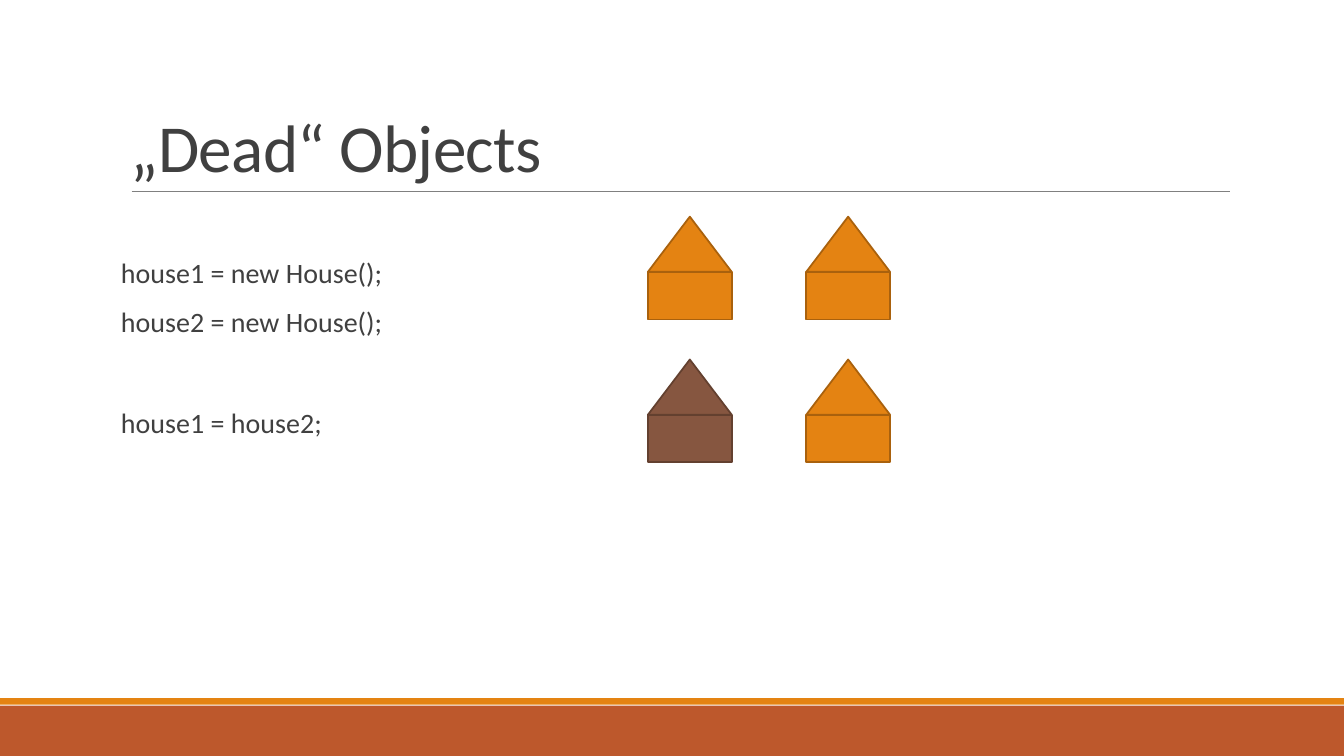
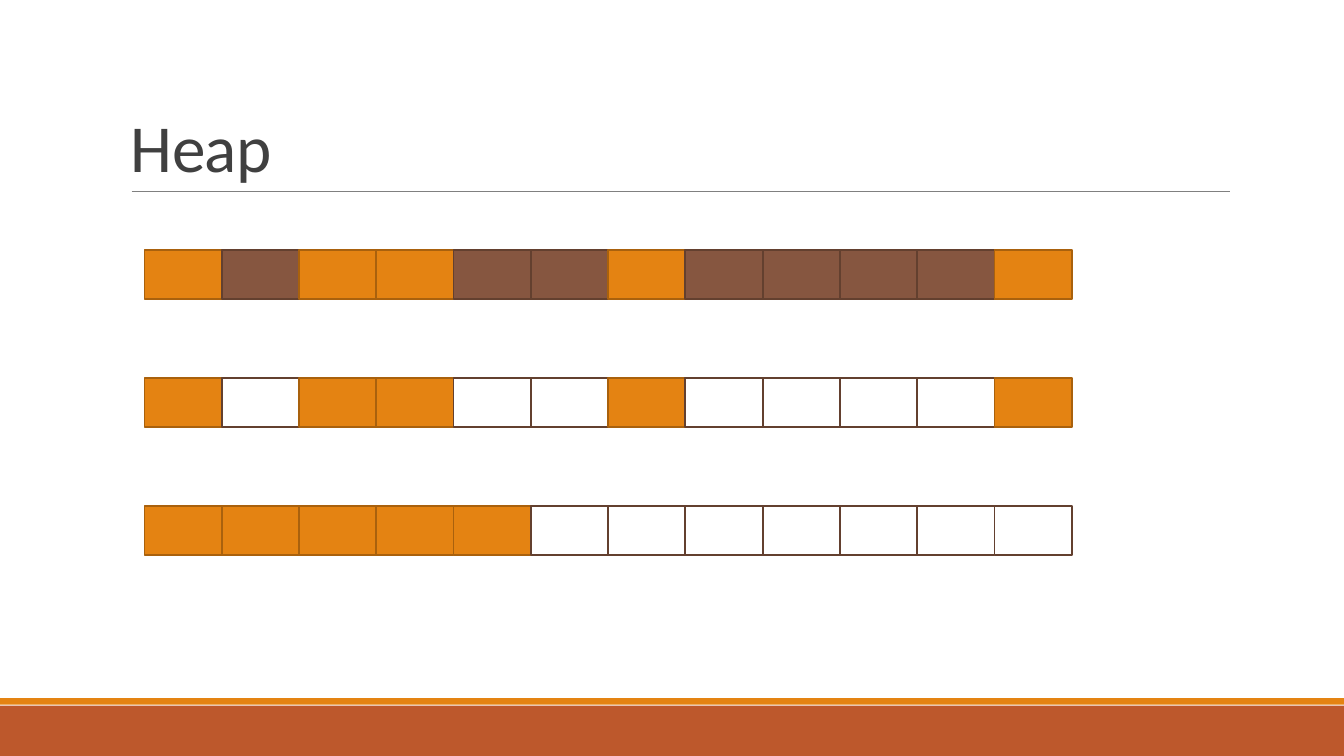
"""Build two slides on dead objects and heap compaction."""
from dataclasses import dataclass

from lxml import etree
from pptx import Presentation
from pptx import util as u
from pptx.dml.color import RGBColor
from pptx.enum import shapes, text
from pptx.oxml.ns import qn

FONT = "Calibri"
INK, RULE = "404040", "808080"
ORANGE, RUST = "E48312", "BD582C"
WIDTH, HEIGHT = 33.87, 19.05
LEFT, TEXT_WIDTH = 3.05, 27.94
RECT = shapes.MSO_SHAPE.RECTANGLE
TRIANGLE = shapes.MSO_SHAPE.ISOSCELES_TRIANGLE


@dataclass(frozen=True)
class Style:
    fill: str
    line: str | None = None


@dataclass(frozen=True)
class House:
    left: float
    top: float
    style: Style


@dataclass(frozen=True)
class CodeLine:
    words: str
    space_before: float


LIVE = Style(ORANGE, "A9610D")
DEAD = Style("865640", "63402F")
FREE = Style("FFFFFF", "63402F")
CELL_STYLES = {"L": LIVE, "D": DEAD, "F": FREE}

HOUSE_WIDTH, ROOF_HEIGHT, WALL_HEIGHT = 2.11, 1.39, 1.2
HOUSE_LEFTS, HOUSE_TOPS = (16.33, 20.32), (5.46, 9.06)
HOUSES = [
    House(left, top, DEAD if (col, row) == (0, 1) else LIVE)
    for row, top in enumerate(HOUSE_TOPS)
    for col, left in enumerate(HOUSE_LEFTS)
]
CODE = [
    CodeLine("house1 = new House();", 0),
    CodeLine("house2 = new House();", 12),
    CodeLine("house1 = house2;", 48),
]

HEAP_ROWS = ("LDLLDDLDDDDL", "LFLLFFLFFFFL", "LLLLLFFFFFFF")
HEAP_LEFT, HEAP_TOP, HEAP_WIDTH = 3.64, 6.3, 23.37
CELL_HEIGHT, ROW_PITCH = 1.23, 3.23


def rgb(value: str) -> RGBColor:
    return RGBColor.from_string(value)


def add_block(s, kind, left: float, top: float, width: float, height: float, style: Style) -> None:
    sp = s.shapes.add_shape(kind, u.Cm(left), u.Cm(top), u.Cm(width), u.Cm(height))
    sp.shadow.inherit = False
    sp.fill.solid()
    sp.fill.fore_color.rgb = rgb(style.fill)
    if style.line is None:
        sp.line.fill.background()
    else:
        sp.line.color.rgb = rgb(style.line)
        sp.line.width = u.Pt(1.25)


def add_text_frame(s, top: float, height: float):
    sp = s.shapes.add_textbox(u.Cm(LEFT), u.Cm(top), u.Cm(TEXT_WIDTH), u.Cm(height))
    tf = sp.text_frame
    tf.word_wrap = True
    return tf


def style_paragraph(p, size: float, line_spacing: float) -> None:
    p.line_spacing = line_spacing
    p.font.name = FONT
    p.font.size = u.Pt(size)
    p.font.color.rgb = rgb(INK)


def add_titled_slide(prs, title: str):
    s = prs.slides.add_slide(prs.slide_layouts[6])
    add_block(s, RECT, 0, 17.78, WIDTH, 1.27, Style(RUST))
    add_block(s, RECT, 0, 17.59, WIDTH, 0.17, Style(ORANGE))
    rule = s.shapes.add_connector(
        shapes.MSO_CONNECTOR.STRAIGHT, u.Cm(3.32), u.Cm(4.83), u.Cm(31), u.Cm(4.83)
    )
    rule.line.color.rgb = rgb(RULE)
    rule.line.width = u.Pt(0.5)
    etree.SubElement(rule._element.spPr, qn("a:effectLst"))

    tf = add_text_frame(s, 0.79, 4.03)
    tf.vertical_anchor = text.MSO_ANCHOR.BOTTOM
    p = tf.paragraphs[0]
    style_paragraph(p, 48, 0.85)
    r = p.add_run()
    r.text = title
    r._r.get_or_add_rPr().set("spc", "-50")
    return s


def add_code(s, lines: list[CodeLine]) -> None:
    tf = add_text_frame(s, 6.4, 9.9)
    tf.margin_left = tf.margin_right = 0
    for i, line in enumerate(lines):
        p = tf.add_paragraph() if i else tf.paragraphs[0]
        p.text = line.words
        p.space_before = u.Pt(line.space_before)
        p.space_after = u.Pt(2)
        style_paragraph(p, 20, 0.9)


def add_house(s, house: House) -> None:
    wall_top = house.top + ROOF_HEIGHT
    add_block(s, RECT, house.left, wall_top, HOUSE_WIDTH, WALL_HEIGHT, house.style)
    add_block(s, TRIANGLE, house.left, house.top, HOUSE_WIDTH, ROOF_HEIGHT, house.style)


def add_heap_row(s, top: float, cells: str) -> None:
    width = HEAP_WIDTH / len(cells)
    for i, cell in enumerate(cells):
        add_block(s, RECT, HEAP_LEFT + i * width, top, width, CELL_HEIGHT, CELL_STYLES[cell])


def main() -> None:
    prs = Presentation()
    prs.slide_width, prs.slide_height = u.Cm(WIDTH), u.Cm(HEIGHT)

    s = add_titled_slide(prs, "„Dead“ Objects")
    add_code(s, CODE)
    for house in HOUSES:
        add_house(s, house)

    s = add_titled_slide(prs, "Heap")
    for i, cells in enumerate(HEAP_ROWS):
        add_heap_row(s, HEAP_TOP + i * ROW_PITCH, cells)

    prs.save("out.pptx")


if __name__ == "__main__":
    main()
